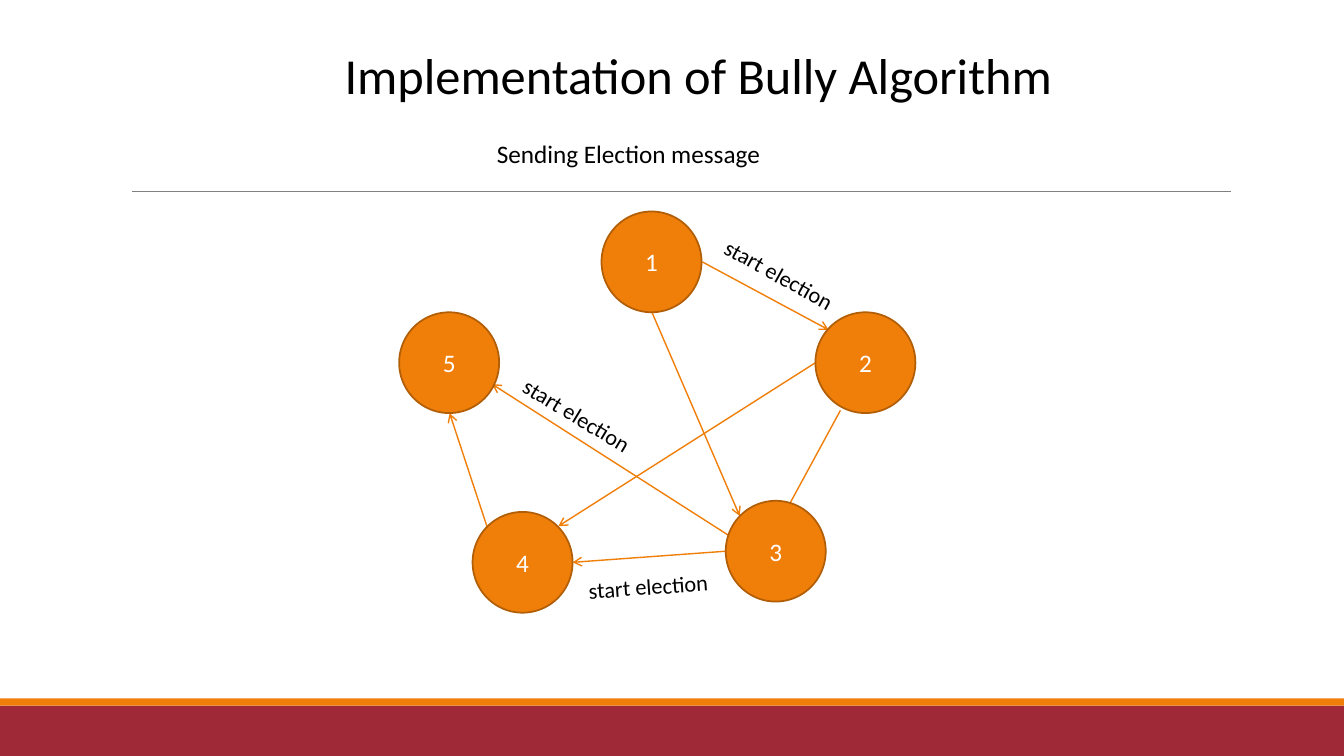
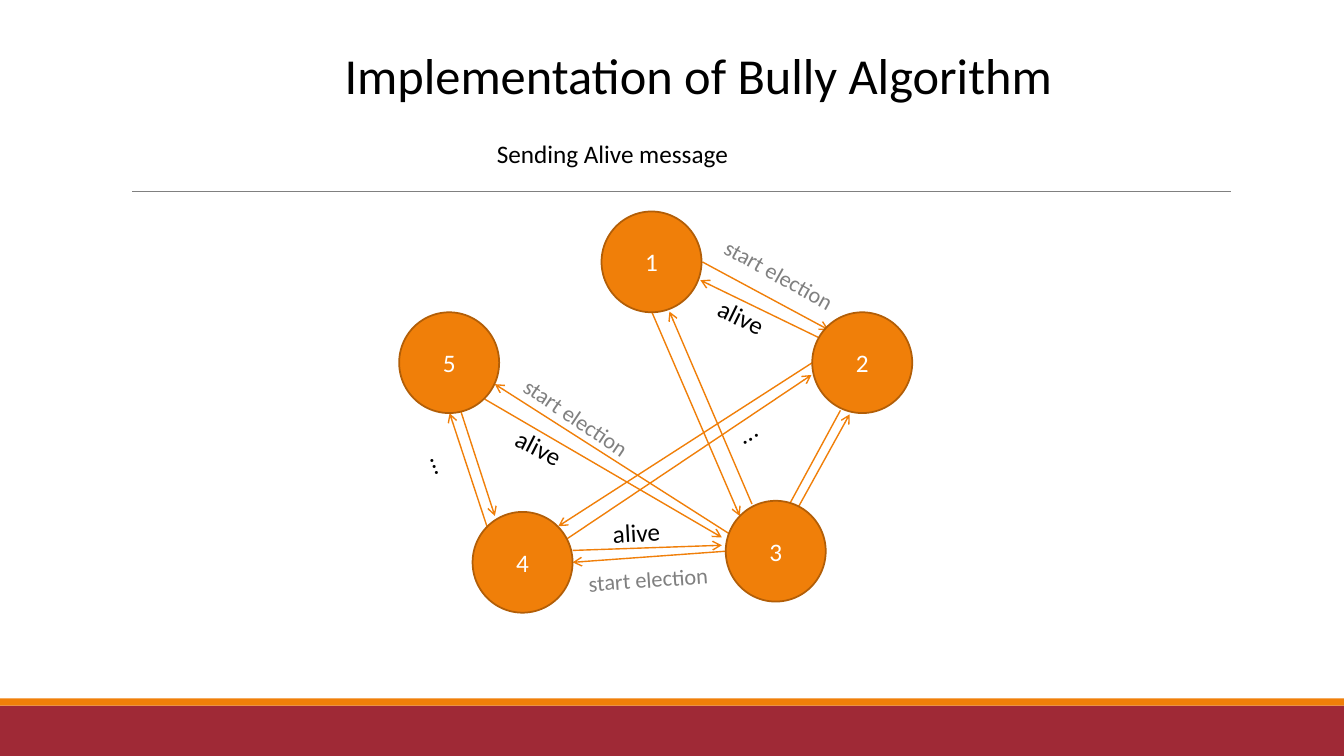
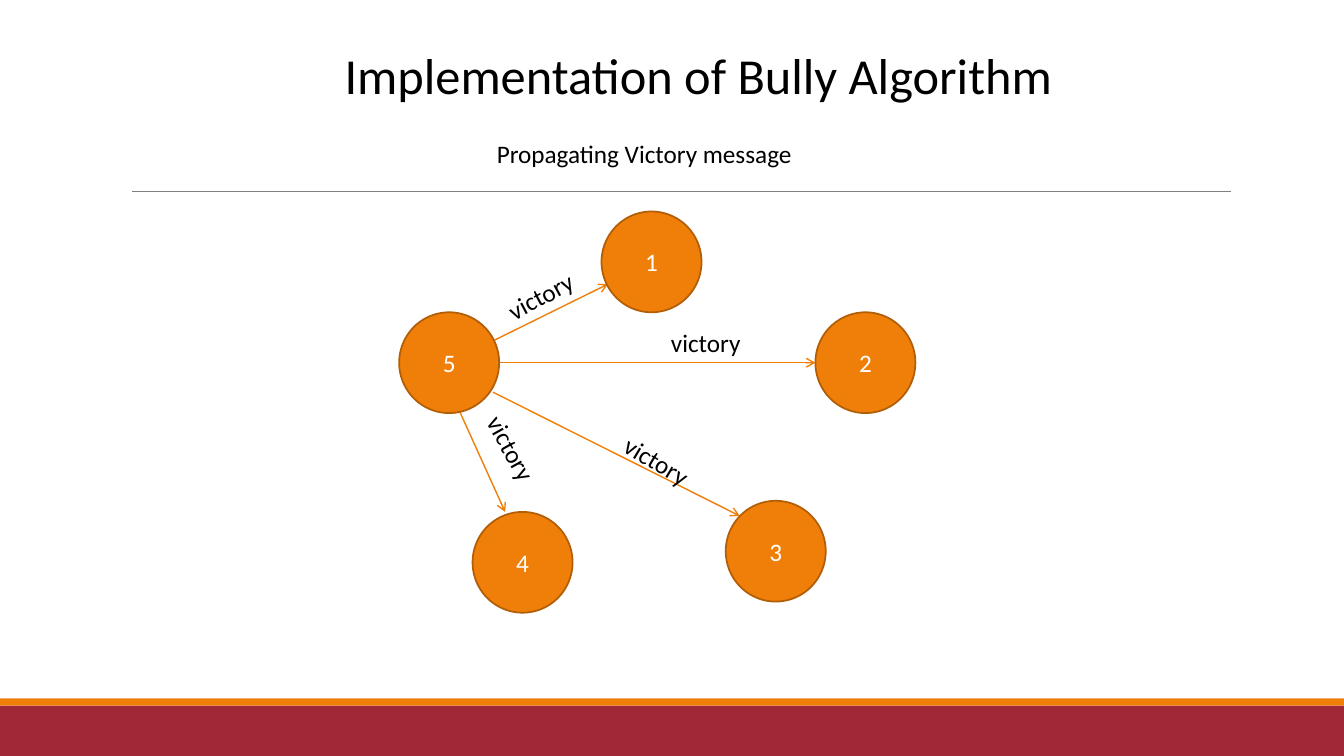
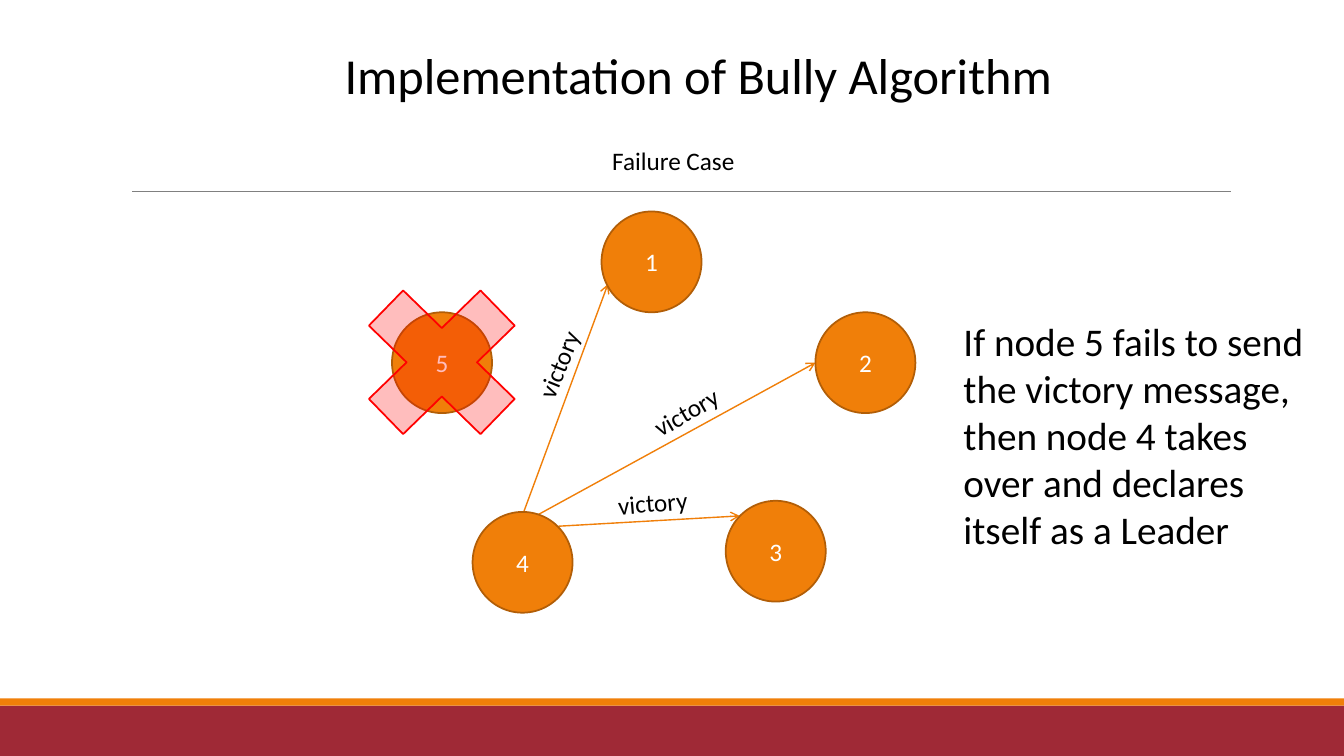
import dataclasses

import lxml.etree
import pptx
import pptx.dml.color
import pptx.enum.shapes
import pptx.enum.text
import pptx.oxml
import pptx.oxml.ns
import pptx.util

Cm = pptx.util.Cm
Pt = pptx.util.Pt
SHAPE = pptx.enum.shapes.MSO_SHAPE
CONNECTOR = pptx.enum.shapes.MSO_CONNECTOR
ALIGN = pptx.enum.text.PP_ALIGN
qn = pptx.oxml.ns.qn


def rgb(value):
    return pptx.dml.color.RGBColor.from_string(value)


@dataclasses.dataclass(frozen=True)
class Theme:
    font: str = "Calibri"
    band = rgb("9F2936")
    accent = rgb("F07F09")
    outline = rgb("B25E07")
    gray = rgb("808080")
    failure = rgb("FF0000")
    black = rgb("000000")
    white = rgb("FFFFFF")
    title_size: int = 36
    note_size: int = 28
    body_size: int = 18
    small_size: int = 16


theme = Theme()


def write_text(shape, text, size, color=theme.black, align=ALIGN.LEFT):
    """Fill the shape with one formatted paragraph."""
    frame = shape.text_frame
    frame.word_wrap = True
    frame.text = text
    paragraph = frame.paragraphs[0]
    paragraph.alignment = align
    font = paragraph.runs[0].font
    font.name = theme.font
    font.size = Pt(size)
    font.color.rgb = color


def add_line(slide, ends, color, width):
    line = slide.shapes.add_connector(CONNECTOR.STRAIGHT, *map(Cm, ends))
    line.line.color.rgb = color
    line.line.width = Pt(width)
    lxml.etree.SubElement(line.element.spPr, qn("a:effectLst"))
    return line


# Lengths are in centimetres.
NODE_WIDTH, NODE_HEIGHT = 2.52, 2.54
NODES = {
    "1": (15.16, 5.33),
    "5": (10.06, 7.87),
    "4": (11.91, 12.9),
    "2": (20.55, 7.87),
    "3": (18.29, 12.62),
}
LABEL_HEIGHT = {theme.small_size: 0.94, theme.body_size: 1.02}

# Arrows: start x, start y, end x, end y
election_arrows = [
    (17.7, 6.6, 20.88, 8.31),
    (16.43, 7.87, 18.64, 13),
    (21.18, 10.34, 19.79, 12.9),
    (18.29, 13.89, 14.43, 14.17),
    (12.27, 13.26, 11.33, 10.41),
]
alive_arrows = [
    (20.68, 8.53, 17.65, 7.06),
    (18.95, 12.7, 16.87, 7.85),
    (20.09, 12.83, 21.41, 10.44),
    (14.43, 13.87, 18.19, 13.74),
    (14.27, 13.59, 20.45, 9.45),
    (11.58, 10.26, 12.47, 13),
    (12.22, 10.06, 18.19, 13.54),
]

# Labels: text, left, top, width, rotation, size, colour
black_small = (theme.small_size, theme.black)
gray_small = (theme.small_size, theme.gray)
black_body = (theme.body_size, theme.black)

scenes = [
    {
        "subtitle": "Sending Election message",
        "moved": {},
        "arrows": election_arrows + [(18.44, 13.54, 12.4, 9.68), (20.55, 9.14, 14.07, 13.26)],
        "labels": [
            ("start election", 17.83, 6.63, 4.27, 29, *black_small),
            ("start election", 12.73, 10.19, 4.27, 31, *black_small),
            ("start election", 14.58, 14.3, 3.71, 356, *black_small),
        ],
    },
    {
        "subtitle": "Sending Alive message",
        "moved": {"2": (20.47, 7.87)},
        "arrows": election_arrows + alive_arrows
        + [(18.52, 13.54, 12.47, 9.68), (20.47, 9.14, 14.07, 13.26)],
        "labels": [
            ("start election", 17.83, 6.63, 4.27, 29, *gray_small),
            ("start election", 12.7, 10.26, 4.27, 34, *gray_small),
            ("start election", 14.58, 14.12, 3.71, 356, *gray_small),
            ("alive", 15.19, 12.9, 1.9, 357, *black_body),
            ("alive", 12.73, 10.8, 1.85, 27, *black_body),
            ("alive", 17.83, 7.52, 1.88, 26, *black_body),
            ("...", 18.26, 10.11, 2.06, 331, *black_body),
            ("...", 10.31, 11.68, 2.06, 69, *black_body),
        ],
    },
    {
        "subtitle": "Propagating Victory message",
        "moved": {},
        "arrows": [
            (11.58, 10.36, 12.73, 12.9),
            (12.42, 9.88, 18.64, 13),
            (12.6, 9.14, 20.55, 9.14),
            (12.22, 8.69, 15.32, 7.16),
        ],
        "labels": [
            ("victory", 11.63, 11.02, 2.77, 61, *black_body),
            ("victory", 12.47, 6.86, 2.62, 332, *black_body),
            ("victory", 15.42, 11.13, 2.36, 31, *black_body),
            ("victory", 16.66, 8.13, 4.85, 0, *black_body),
        ],
    },
    {
        "subtitle": "Failure Case",
        "moved": {"5": (9.88, 7.87)},
        "arrows": [
            (14.07, 13.26, 18.64, 13),
            (13.54, 12.98, 20.55, 9.14),
            (13.18, 12.95, 15.32, 7.16),
        ],
        "labels": [
            ("victory", 15.32, 12.12, 2.95, 355, *black_body),
            ("victory", 16.15, 9.83, 2.39, 330, *black_body),
            ("victory", 12.9, 8.61, 2.39, 292, *black_body),
        ],
    },
]

presentation = pptx.Presentation()
presentation.slide_width = Cm(33.87)
presentation.slide_height = Cm(19.05)
layout = presentation.slide_layouts.get_by_name("Title Only")
title = layout.placeholders[0]
title.left, title.top, title.width, title.height = map(Cm, (8.43, 0.99, 18.77, 1.8))
slides = [presentation.slides.add_slide(layout) for scene in scenes]

# Bands and rule are drawn once and moved to the layout.
layout_shapes = [add_line(slides[0], (3.33, 4.83, 31.01, 4.83), theme.gray, 0.5)]
for top, height, color in ((17.78, 1.27, theme.band), (17.6, 0.18, theme.accent)):
    band = slides[0].shapes.add_shape(
        SHAPE.RECTANGLE, 0, Cm(top), presentation.slide_width, Cm(height))
    band.shadow.inherit = False
    band.fill.solid()
    band.fill.fore_color.rgb = color
    band.line.fill.background()
    layout_shapes.append(band)
for shape in layout_shapes:
    layout.shapes.element.append(shape.element)

for slide, scene in zip(slides, scenes):
    title = slide.shapes.title
    write_text(title, "Implementation of Bully Algorithm", theme.title_size)
    title.text_frame.vertical_anchor = pptx.enum.text.MSO_ANCHOR.TOP
    title.text_frame.auto_size = pptx.enum.text.MSO_AUTO_SIZE.NONE

    failed = scene["subtitle"] == "Failure Case"
    left, top, width = (14.43, 3.53, 5.08) if failed else (12.27, 3.35, 8.2)
    subtitle = slide.shapes.add_textbox(Cm(left), Cm(top), Cm(width), Cm(1.02))
    write_text(subtitle, scene["subtitle"], theme.body_size,
               align=ALIGN.CENTER if failed else ALIGN.LEFT)

    for ends in scene["arrows"]:
        arrow = add_line(slide, ends, theme.accent, 1)
        lxml.etree.SubElement(arrow.line._get_or_add_ln(), qn("a:tailEnd"), type="arrow")

    for name, position in (NODES | scene["moved"]).items():
        node = slide.shapes.add_shape(
            SHAPE.OVAL, *map(Cm, (*position, NODE_WIDTH, NODE_HEIGHT)))
        node.shadow.inherit = False
        node.fill.solid()
        node.fill.fore_color.rgb = theme.accent
        node.line.color.rgb = theme.outline
        node.line.width = Pt(1.25)
        write_text(node, name, theme.body_size, theme.white, ALIGN.CENTER)

    for text, left, top, width, rotation, size, color in scene["labels"]:
        label = slide.shapes.add_textbox(
            Cm(left), Cm(top), Cm(width), Cm(LABEL_HEIGHT[size]))
        label.rotation = rotation
        write_text(label, text, size, color)

failure_slide = slides[-1]
cross = failure_slide.shapes.add_shape(
    SHAPE.MATH_MULTIPLY, Cm(8.43), Cm(6.5), Cm(5.41), Cm(5.26))
cross.shadow.inherit = False
cross.fill.solid()
cross.fill.fore_color.rgb = theme.failure
cross.line.color.rgb = theme.failure
cross.line.width = Pt(1.25)
fill_color = cross.element.spPr.find(qn("a:solidFill")).find(qn("a:srgbClr"))
lxml.etree.SubElement(fill_color, qn("a:alpha"), val="26000")

note = failure_slide.shapes.add_textbox(Cm(24.03), Cm(7.87), Cm(9.12), Cm(6.25))
write_text(note, "If node 5 fails to send the victory message, then node 4 takes over "
                 "and declares itself as a Leader", theme.note_size)

presentation.save("out.pptx")
